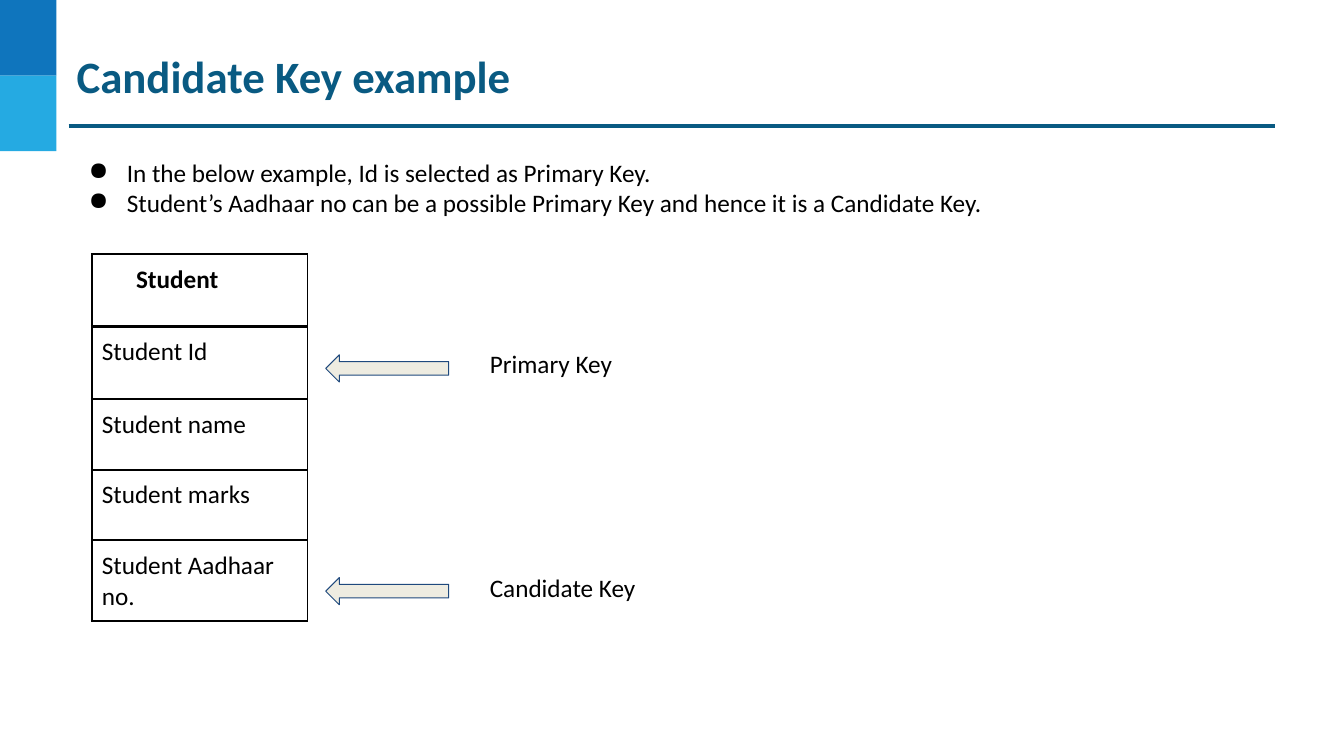
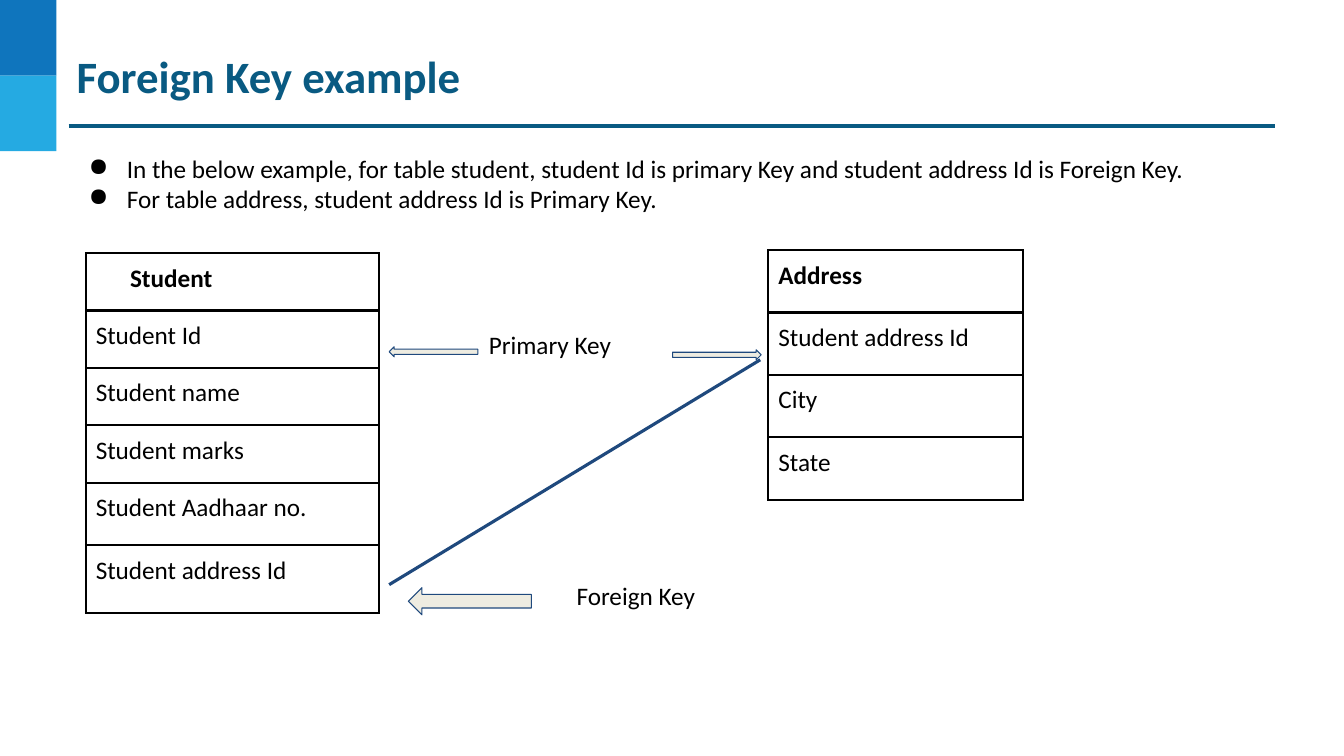
import lxml.etree
import pptx
import pptx.dml.color
import pptx.enum.shapes
import pptx.oxml.ns
import pptx.util

Inches = pptx.util.Inches
Pt = pptx.util.Pt
Shapes = pptx.enum.shapes.MSO_SHAPE

COLORS = {
    "band_dark": "0F75BD",
    "band_light": "25AAE2",
    "title": "095A82",
    "text": "000000",
    "arrow_fill": "EEECE1",
    "arrow_line": "1F497D",
}
BODY_FONT = {"name": "Calibri", "size": Pt(18), "bold": False}
HEADER_FONT = {**BODY_FONT, "bold": True}
TITLE_FONT = {**HEADER_FONT, "size": Pt(32)}
MARGINS = ("margin_left", "margin_top", "margin_right", "margin_bottom")
BODY_INSETS = dict.fromkeys(MARGINS, Inches(0.1))
TITLE_INSETS = dict.fromkeys(MARGINS, Inches(0.02))
HEADER_INDENT = 0.44
ARROW_SIZE = (1.22, 0.27)
SMALL_ARROW_SIZE = (0.88, 0.1)


def rgb(color):
    """Return the named colour."""
    return pptx.dml.color.RGBColor.from_string(COLORS[color])


def apply_format(target, values):
    """Set each attribute in values on target."""
    for name, value in values.items():
        setattr(target, name, value)


def add_element(parent, tag, **attributes):
    """Append a DrawingML child with the given attributes."""
    return lxml.etree.SubElement(parent, pptx.oxml.ns.qn(tag), attributes)


def style_font(paragraph, font_format, color="text"):
    """Give a paragraph its font and colour."""
    apply_format(paragraph.font, font_format)
    paragraph.font.color.rgb = rgb(color)


def add_bullet(paragraph):
    """Give a paragraph a round bullet and a hanging indent."""
    properties = paragraph._p.get_or_add_pPr()
    properties.set("marL", str(Inches(0.5)))
    properties.set("indent", str(-Inches(0.38)))
    bullet_color = add_element(properties, "a:buClr")
    add_element(bullet_color, "a:srgbClr", val=COLORS["text"])
    add_element(properties, "a:buChar", char="●")


def add_text(slide, lines, box, font_format=BODY_FONT, color="text",
             insets=BODY_INSETS, bulleted=False):
    """Add a text box with one paragraph per line."""
    frame = slide.shapes.add_textbox(*map(Inches, box)).text_frame
    apply_format(frame, {**insets, "word_wrap": True})
    frame.text = "\n".join(lines)
    for paragraph in frame.paragraphs:
        if bulleted:
            add_bullet(paragraph)
        style_font(paragraph, font_format, color)


def add_filled_shape(slide, preset, box, fill, outline=None):
    """Add a preset shape with a fill and an optional thin outline."""
    shape = slide.shapes.add_shape(preset, *map(Inches, box))
    shape.shadow.inherit = False
    shape.fill.solid()
    shape.fill.fore_color.rgb = rgb(fill)
    if outline:
        shape.line.color.rgb = rgb(outline)
        shape.line.width = Pt(0.75)
    else:
        shape.line.fill.background()


def add_arrow(slide, left, top, size=ARROW_SIZE, preset=Shapes.LEFT_ARROW):
    """Add a block arrow."""
    add_filled_shape(slide, preset, (left, top, *size), "arrow_fill", "arrow_line")


def add_line(slide, start, end, color):
    """Add a straight line between two points."""
    line = slide.shapes.add_connector(
        pptx.enum.shapes.MSO_CONNECTOR.STRAIGHT, *map(Inches, (*start, *end)))
    line.line.color.rgb = rgb(color)
    line.line.width = Pt(2.25)
    add_element(line._element.spPr, "a:effectLst")


def add_label(slide, text, left, top):
    """Add a one-line key label."""
    add_text(slide, [text], (left, top, 2.5, 0.5))


def set_borders(cell, top_width, bottom_width):
    """Draw the four borders of a cell ahead of its fill."""
    properties = cell._tc.get_or_add_tcPr()
    widths = {"a:lnL": 1.5, "a:lnR": 1.5, "a:lnT": top_width, "a:lnB": bottom_width}
    for position, (tag, width) in enumerate(widths.items()):
        border = add_element(properties, tag, w=str(Pt(width)))
        border_fill = add_element(border, "a:solidFill")
        add_element(border_fill, "a:srgbClr", val=COLORS["text"])
        properties.insert(position, border)


def add_entity(slide, fields, left, top, width, heights, header_indent=0.1):
    """Add a one-column table: entity name, then its fields."""
    box = map(Inches, (left, top, width, sum(heights)))
    table = slide.shapes.add_table(len(fields), 1, *box).table
    apply_format(table, {"first_row": False, "horz_banding": False})
    for index, (field, height) in enumerate(zip(fields, heights)):
        table.rows[index].height = Inches(height)
        cell = table.cell(index, 0)
        cell.text = field
        apply_format(cell, BODY_INSETS)
        if index == 0:
            cell.margin_left = Inches(header_indent)
        style_font(cell.text_frame.paragraphs[0], BODY_FONT if index else HEADER_FONT)
        cell.fill.background()
        set_borders(cell, 3 if index == 1 else 1.5, 3 if index == 0 else 1.5)


def add_base_slide(deck, title, bullets, bullets_top):
    """Add a slide with the shared bands, title, rule and bullet list."""
    slide = deck.slides.add_slide(deck.slide_layouts[6])
    for index, color in enumerate(("band_dark", "band_light")):
        add_filled_shape(slide, Shapes.RECTANGLE, (0, index * 0.75, 0.56, 0.75), color)
    add_line(slide, (0.68, 1.25), (12.65, 1.25), "title")
    add_text(slide, [title], (0.74, 0.46, 11.97, 0.58), TITLE_FONT, "title", TITLE_INSETS)
    add_text(slide, bullets, (0.66, bullets_top, 12.37, 0.81), bulleted=True)
    return slide


def build_candidate_key(deck):
    """Build the candidate key slide."""
    slide = add_base_slide(deck, "Candidate Key example", [
        "In the below example, Id is selected as Primary Key.",
        "Student’s Aadhaar no can be a possible Primary Key and hence it is a Candidate Key.",
    ], 1.46)
    student = ["Student", "Student Id", "Student name", "Student marks", "Student Aadhaar no."]
    add_entity(slide, student, 0.91, 2.52, 2.14, [0.72, 0.72, 0.7, 0.7, 0.8], HEADER_INDENT)
    for key, label_top, arrow_top in (("Primary Key", 3.36, 3.52),
                                      ("Candidate Key", 5.58, 5.73)):
        add_arrow(slide, 3.23, arrow_top)
        add_label(slide, key, 4.76, label_top)


def build_foreign_key(deck):
    """Build the foreign key slide."""
    slide = add_base_slide(deck, "Foreign Key example", [
        "In the below example, for table student, student Id is primary Key "
        "and student address Id is Foreign Key.",
        "For table address, student address Id is Primary Key.",
    ], 1.42)
    student = ["Student", "Student Id", "Student name", "Student marks",
               "Student Aadhaar no.", "Student address Id"]
    add_entity(slide, student, 0.85, 2.51, 2.91, [0.57] * 4 + [0.62, 0.67], HEADER_INDENT)
    address = ["Address", "Student address Id", "City", "State"]
    add_entity(slide, address, 7.62, 2.48, 2.53, [0.62] * 4)
    add_line(slide, (3.86, 5.8), (7.54, 3.57), "arrow_line")
    add_label(slide, "Primary Key", 4.75, 3.17)
    add_arrow(slide, 3.86, 3.44, SMALL_ARROW_SIZE)
    add_arrow(slide, 6.67, 3.47, SMALL_ARROW_SIZE, Shapes.RIGHT_ARROW)
    add_arrow(slide, 4.05, 5.83)
    add_label(slide, "Foreign Key", 5.62, 5.66)


def main():
    """Build and save the deck."""
    deck = pptx.Presentation()
    apply_format(deck, {"slide_width": Inches(13.33), "slide_height": Inches(7.5)})
    build_candidate_key(deck)
    build_foreign_key(deck)
    deck.save("out.pptx")


if __name__ == "__main__":
    main()
